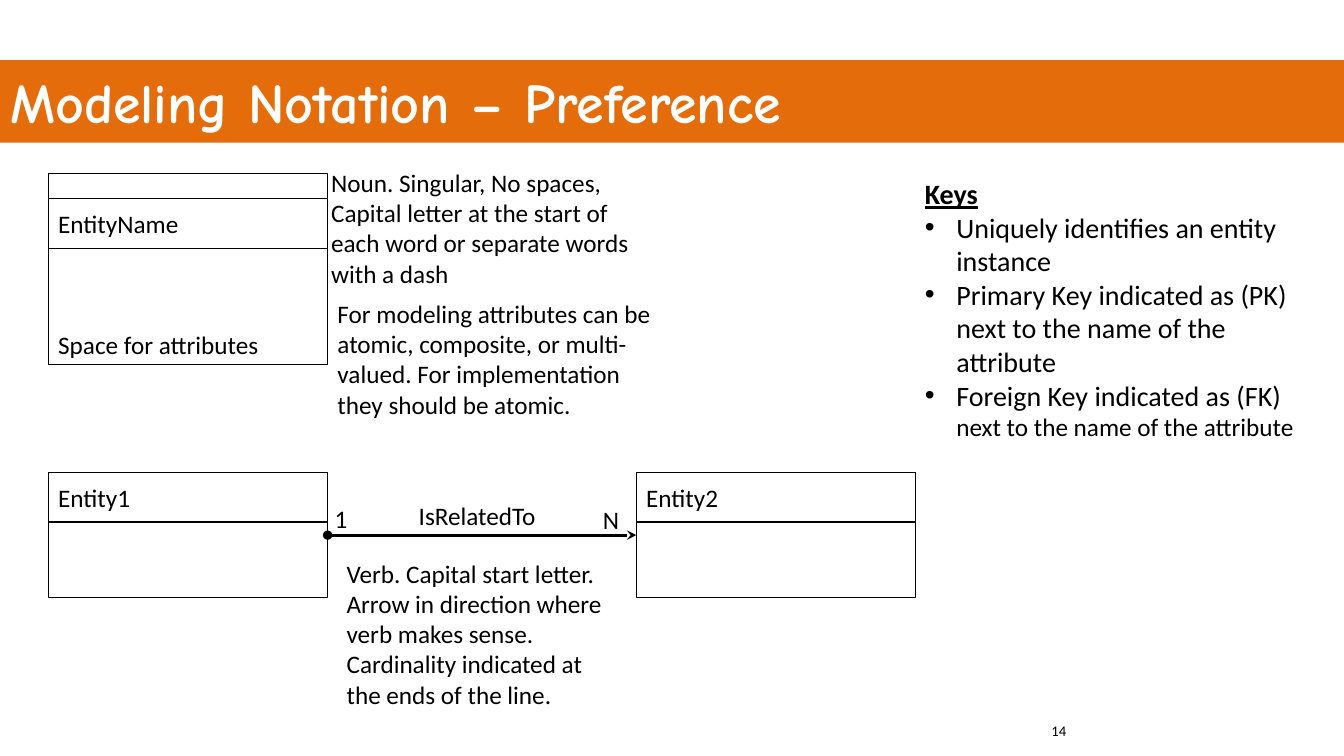
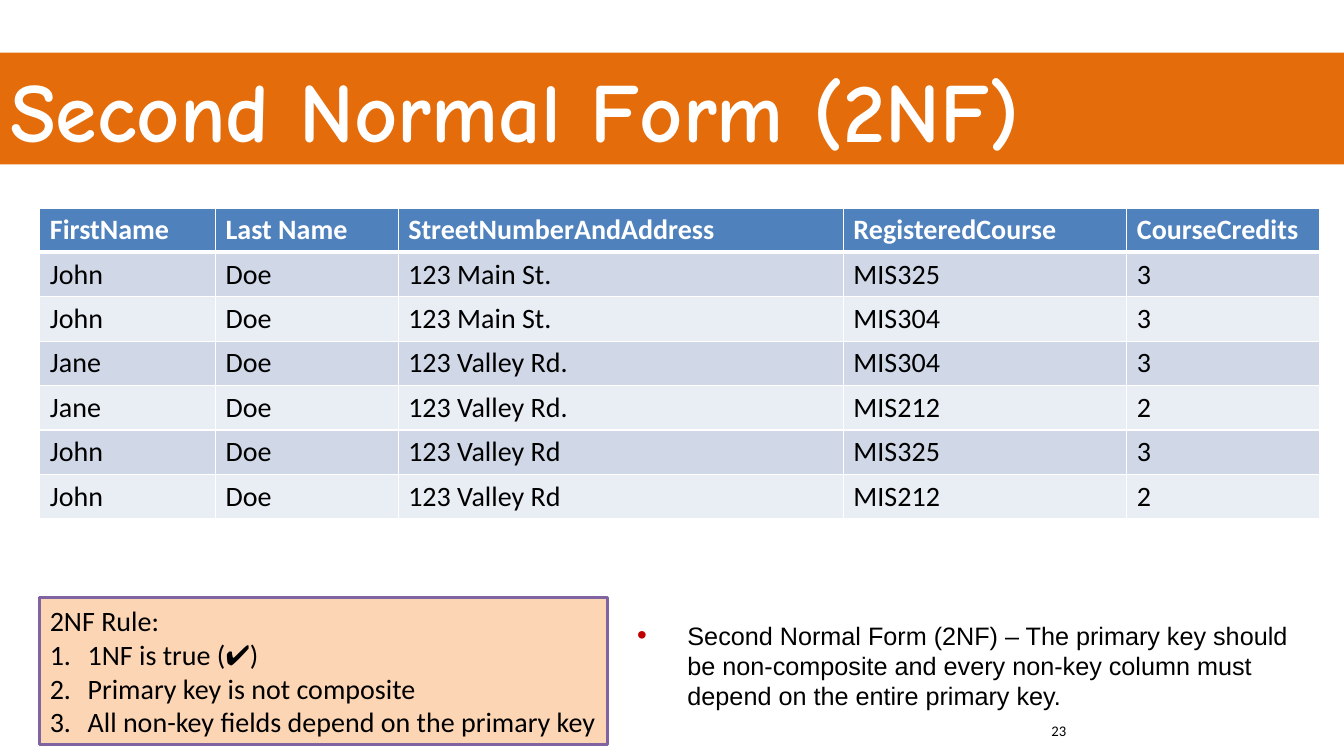
from dataclasses import dataclass

from lxml import etree
from pptx import Presentation
from pptx.dml.color import RGBColor
from pptx.enum.shapes import MSO_CONNECTOR, MSO_SHAPE
from pptx.enum.text import MSO_ANCHOR, MSO_AUTO_SIZE, PP_ALIGN
from pptx.oxml.ns import qn
from pptx.util import Pt

RECTANGLE = MSO_SHAPE.RECTANGLE
STRAIGHT = MSO_CONNECTOR.STRAIGHT
TOP, MIDDLE, BOTTOM = MSO_ANCHOR.TOP, MSO_ANCHOR.MIDDLE, MSO_ANCHOR.BOTTOM
LEFT = PP_ALIGN.LEFT
NO_AUTOFIT = MSO_AUTO_SIZE.NONE
TITLE_ONLY = 5
RIGHT_SIDE, LEFT_SIDE = 3, 1
SLIDE_WIDTH, SLIDE_HEIGHT = 960, 540


@dataclass(frozen=True)
class Theme:
    band: str = "E46C0A"
    white: str = "FFFFFF"
    ink: str = "000000"
    rule_fill: str = "FCD5B5"
    rule_line: str = "8064A2"
    bullet: str = "C00000"
    table_header: str = "4F81BD"
    table_rows: tuple = ("D0D8E8", "E9EDF4")
    title_font: str = "Comic Neue"
    body_font: str = "Calibri"
    definition_font: str = "Arial"
    title_size: float = 40
    big_title_size: float = 60
    large: float = 20
    body: float = 18
    page_number: float = 10.5


THEME = Theme()


@dataclass(frozen=True)
class Style:
    size: float = THEME.body
    font: str = THEME.body_font
    color: str = THEME.ink
    bold: bool = False
    underline: bool = False


BODY = Style()
LARGE = Style(size=THEME.large)
KEYS_HEADING = Style(size=THEME.large, bold=True, underline=True)
TABLE_HEADING = Style(size=THEME.large, color=THEME.white, bold=True)
DEFINITION = Style(font=THEME.definition_font)
PAGE_NUMBER = Style(size=THEME.page_number)


@dataclass(frozen=True)
class Bullet:
    indent: float
    numbered: bool = False
    color: str = ""
    percent: int = 100


# Text
def add_run(paragraph, text, style):
    run = paragraph.add_run()
    run.text = text
    font = run.font
    font.name, font.size = style.font, Pt(style.size)
    font.bold, font.underline = style.bold, style.underline
    font.color.rgb = RGBColor.from_string(style.color)


def set_bullet(paragraph, bullet):
    props = paragraph._p.get_or_add_pPr()
    props.set("marL", str(Pt(bullet.indent)))
    props.set("indent", str(-Pt(bullet.indent)))
    if bullet.color:
        color = etree.SubElement(props, qn("a:buClr"))
        etree.SubElement(color, qn("a:srgbClr"), val=bullet.color)
    etree.SubElement(props, qn("a:buSzPct"), val=str(bullet.percent * 1000))
    etree.SubElement(props, qn("a:buFont"), typeface="+mj-lt" if bullet.numbered else "Arial")
    if bullet.numbered:
        etree.SubElement(props, qn("a:buAutoNum"), type="arabicPeriod")
    else:
        etree.SubElement(props, qn("a:buChar"), char="•")


def write(frame, paragraphs, anchor=TOP, wrap=True):
    """Each paragraph is (runs, bullet or None); each run is (text, style)."""
    frame.word_wrap = wrap
    frame.auto_size = NO_AUTOFIT
    frame.vertical_anchor = anchor
    for index, (runs, bullet) in enumerate(paragraphs):
        paragraph = frame.add_paragraph() if index else frame.paragraphs[0]
        paragraph.alignment = LEFT
        if bullet:
            set_bullet(paragraph, bullet)
        for text, style in runs:
            add_run(paragraph, text, style)


def plain(*texts, style=BODY, bullet=None):
    return [([(text, style)], bullet) for text in texts]


def add_text(slide, box, paragraphs):
    text_box = slide.shapes.add_textbox(*map(Pt, box))
    write(text_box.text_frame, paragraphs)


# Shapes
def set_fill(shape, color):
    shape.fill.solid()
    shape.fill.fore_color.rgb = RGBColor.from_string(color)


def add_box(slide, box, fill=THEME.white, line=THEME.ink, weight=1):
    rectangle = slide.shapes.add_shape(RECTANGLE, *map(Pt, box))
    rectangle.shadow.inherit = False
    set_fill(rectangle, fill)
    rectangle.line.color.rgb = RGBColor.from_string(line)
    rectangle.line.width = Pt(weight)
    return rectangle


def add_entity(slide, left, top, height, name, name_offset=0, note=""):
    width, name_height = 199.5, 35.5
    body = add_box(slide, (left, top, width, height))
    if note:
        write(body.text_frame, plain(note), BOTTOM)
    heading = add_box(slide, (left, top + name_offset, width, name_height))
    write(heading.text_frame, plain(name), MIDDLE)
    return body


def add_relationship(slide, source, target):
    arrow = slide.shapes.add_connector(STRAIGHT, 0, 0, 0, 0)
    arrow.begin_connect(source, RIGHT_SIDE)
    arrow.end_connect(target, LEFT_SIDE)
    arrow.line.color.rgb = RGBColor.from_string(THEME.ink)
    arrow.line.width = Pt(2.25)
    line = arrow.line._get_or_add_ln()
    etree.SubElement(line, qn("a:headEnd"), type="oval")
    etree.SubElement(line, qn("a:tailEnd"), type="stealth")
    etree.SubElement(arrow._element.spPr, qn("a:effectLst"))


# Table
def set_borders(cell, weights):
    props = cell._tc.get_or_add_tcPr()
    for index, (side, weight) in enumerate(weights.items()):
        line = etree.Element(qn(f"a:ln{side}"), w=str(Pt(weight)))
        fill = etree.SubElement(line, qn("a:solidFill"))
        etree.SubElement(fill, qn("a:srgbClr"), val=THEME.white)
        props.insert(index, line)


def add_data_table(slide, left, top, widths, row_height, rows):
    frame = slide.shapes.add_table(len(rows), len(widths), Pt(left), Pt(top),
                                   Pt(sum(widths)), Pt(row_height * len(rows)))
    table = frame.table
    table.horz_banding = False
    for column, width in zip(table.columns, widths):
        column.width = Pt(width)
    for r, values in enumerate(rows):
        table.rows[r].height = Pt(row_height)
        fill = THEME.table_rows[(r - 1) % 2] if r else THEME.table_header
        for c, value in enumerate(values):
            cell = table.cell(r, c)
            set_fill(cell, fill)
            set_borders(cell, {"L": 1, "R": 1, "T": 3 if r == 1 else 1, "B": 1 if r else 3})
            add_run(cell.text_frame.paragraphs[0], value, LARGE if r else TABLE_HEADING)


# Shared slide frame
def add_slide(deck, title, size, band_top, band_height, number):
    slide = deck.slides.add_slide(deck.slide_layouts[TITLE_ONLY])
    band = slide.shapes.title
    band.left, band.top = Pt(0), Pt(band_top)
    band.width, band.height = Pt(SLIDE_WIDTH), Pt(band_height)
    set_fill(band, THEME.band)
    style = Style(size, THEME.title_font, THEME.white, bold=True)
    write(band.text_frame, plain(title, style=style), MIDDLE)
    add_text(slide, (744, 512, 216, 28), plain(number, style=PAGE_NUMBER))
    return slide


def build_notation(deck):
    slide = add_slide(deck, "Modeling Notation – Preference", THEME.title_size, 43, 59, "14")

    # Entity anatomy
    add_entity(slide, 34.5, 124, 136.5, "EntityName", 18, "Space for attributes")
    add_text(slide, (229.5, 116, 243.5, 94.5), plain(
        "Noun. Singular, No spaces, Capital letter at the start of each word "
        "or separate words with a dash"))
    add_text(slide, (234, 209.5, 243.5, 94.5), plain(
        "For modeling attributes can be atomic, composite, or multi-valued. "
        "For implementation they should be atomic."))

    # Relationship between two entities
    first, second = [add_entity(slide, left, 337.5, 89.5, name)
                     for left, name in ((34.5, "Entity1"), (454.5, "Entity2"))]
    add_relationship(slide, first, second)
    for left, top, width, label in ((292, 353.5, 106, "IsRelatedTo"),
                                    (232, 356, 27, "1"), (423.5, 356.5, 27, "N")):
        add_text(slide, (left, top, width, 29), plain(label))
    add_text(slide, (240.5, 395, 206.5, 116.5), plain(
        "Verb. Capital start letter. Arrow in direction where verb makes sense.",
        "Cardinality indicated at the ends of the line."))

    # Keys
    bullet = Bullet(22.5)
    foreign_key = [("Foreign Key indicated as (FK) ", LARGE),
                   ("next to the name of the attribute", BODY)]
    add_text(slide, (653.5, 122.5, 286.5, 198.5), [
        *plain("Keys", style=KEYS_HEADING),
        *plain("Uniquely identifies an entity instance",
               "Primary Key indicated as (PK) next to the name of the attribute",
               style=LARGE, bullet=bullet),
        (foreign_key, bullet)])


def build_second_normal_form(deck):
    slide = add_slide(deck, "Second Normal Form (2NF)", THEME.big_title_size, 37.5, 80, "23")

    # Course registrations
    add_data_table(slide, 28.5, 148.5, (125.5, 130.5, 318, 202.5, 138), 31.2, [
        ("FirstName", "Last Name", "StreetNumberAndAddress", "RegisteredCourse", "CourseCredits"),
        ("John", "Doe", "123 Main St.", "MIS325", "3"),
        ("John", "Doe", "123 Main St.", "MIS304", "3"),
        ("Jane", "Doe", "123 Valley Rd.", "MIS304", "3"),
        ("Jane", "Doe", "123 Valley Rd.", "MIS212", "2"),
        ("John", "Doe", "123 Valley Rd", "MIS325", "3"),
        ("John", "Doe", "123 Valley Rd", "MIS212", "2"),
    ])

    # Rule and definition
    rule = add_box(slide, (28.5, 427, 405.5, 104.5), THEME.rule_fill, THEME.rule_line, 2.25)
    write(rule.text_frame, [
        *plain("2NF Rule:", style=LARGE),
        *plain("1NF is true (✔️)", "Primary key is not composite",
               "All non-key fields depend on the primary key",
               style=LARGE, bullet=Bullet(27, numbered=True))], MIDDLE, wrap=False)
    add_text(slide, (448, 439.5, 495.5, 72.5), plain(
        "Second Normal Form (2NF) – The primary key should be non-composite and "
        "every non-key column must depend on the entire primary key.",
        style=DEFINITION, bullet=Bullet(36, color=THEME.bullet, percent=110)))


def main():
    deck = Presentation()
    deck.slide_width, deck.slide_height = Pt(SLIDE_WIDTH), Pt(SLIDE_HEIGHT)
    build_notation(deck)
    build_second_normal_form(deck)
    deck.save("out.pptx")


if __name__ == "__main__":
    main()
